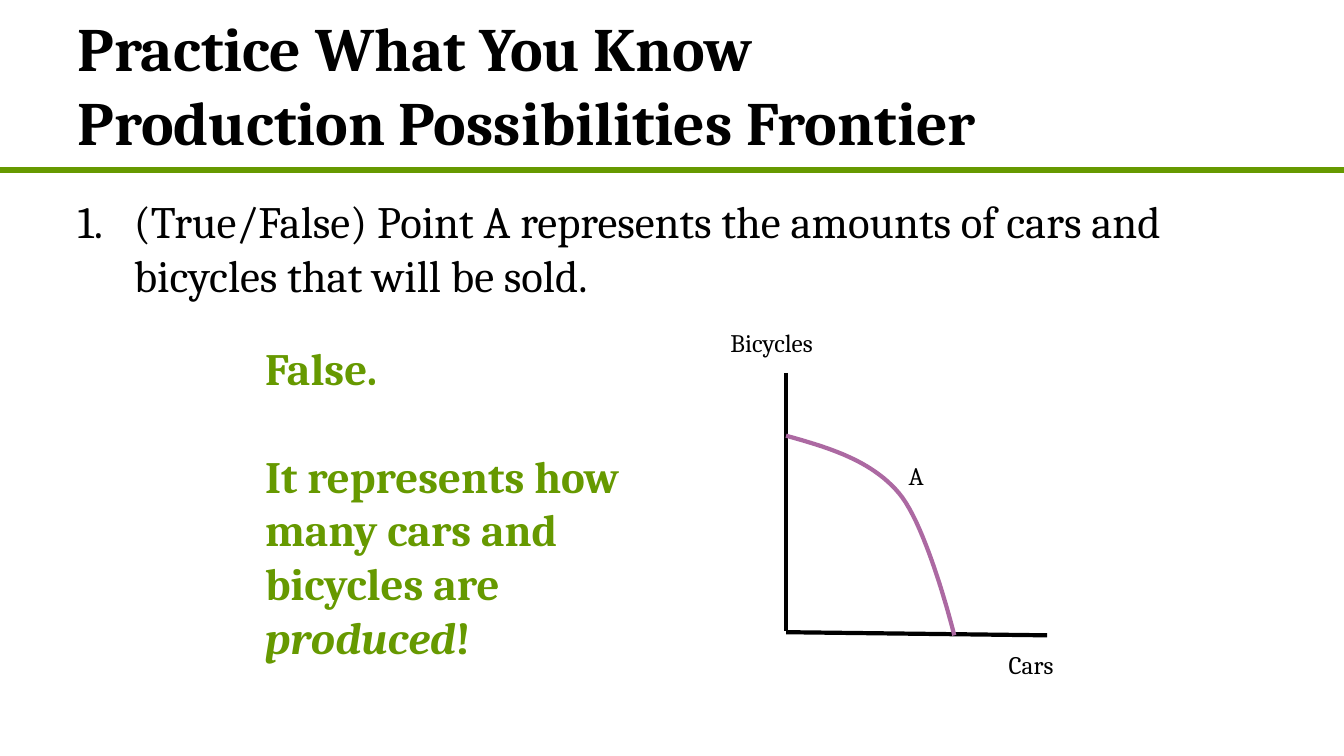
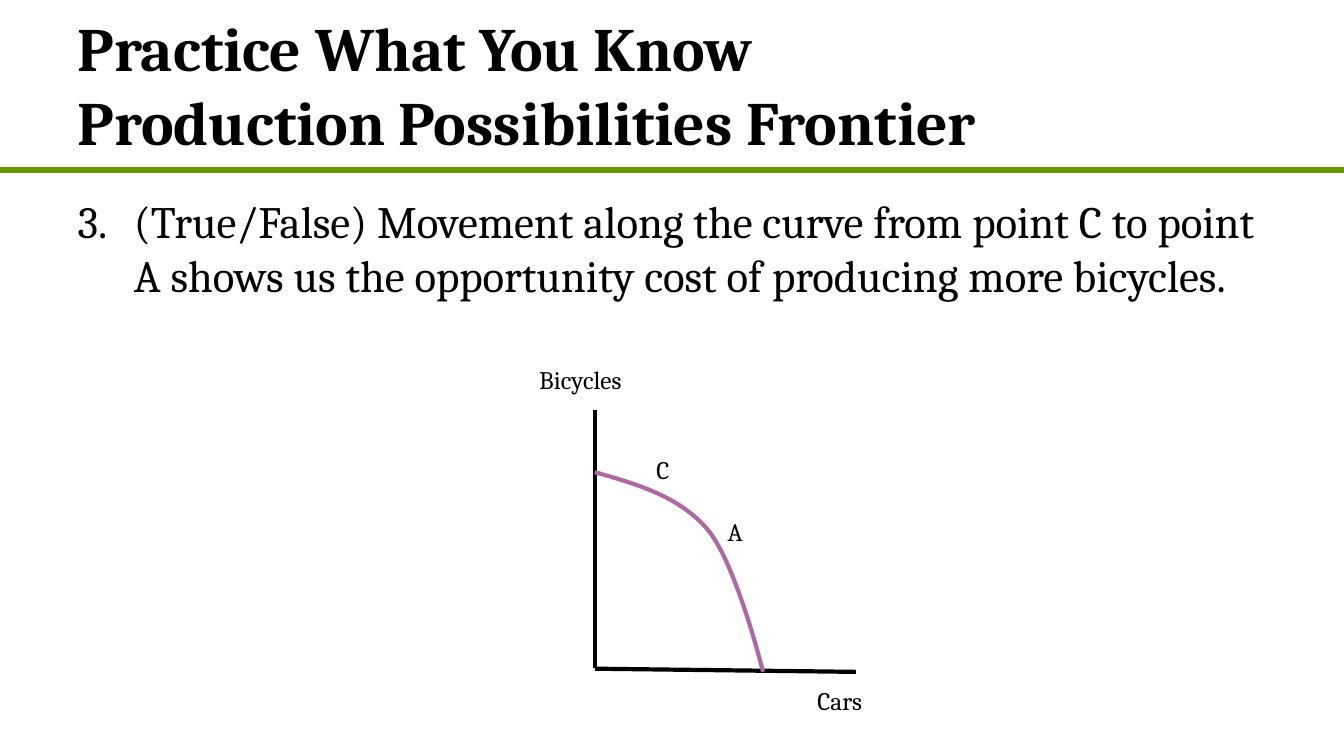
"""Build two practice slides on the production possibilities frontier."""
from lxml import etree
from pptx import Presentation, util as u
from pptx.dml.color import RGBColor
from pptx.enum import shapes, text
from pptx.oxml.ns import qn

FONT = "Cambria"
BLACK, GREEN, PURPLE = "000000", "669900", "AC69A2"
WIDTH, HEIGHT = 33.87, 19.05
MARGIN, TITLE_HEIGHT, RULE_TOP = 1.7, 4.24, 4.29
BODY_TOP, BODY_HEIGHT, INDENT = 4.75, 13.59, 1.42
LABEL_HEIGHT = 1.02

TITLE = ["Practice What You Know", "Production Possibilities Frontier"]
AXES = [((0, -6.53), (0, -0.03)), ((6.58, 0.08), (0, 0))]
AXIS_LABELS = [("Bicycles", -1.65, -7.8, 3.56), ("Cars", 5.36, 0.3, 2.08)]
CURVES = [
    [(0, -4.95), (1.07, -4.65), (2.13, -4.34), (2.84, -3.51)],
    [(2.84, -3.51), (3.56, -2.67), (4.24, 0.08), (4.24, 0.08)],
]
CURVE_STEPS = 24

SLIDES = [
    {
        "number": 1,
        "question": "(True/False) Point A represents the amounts of cars and "
                    "bicycles that will be sold.",
        "origin": (19.81, 15.93),
        "points": [("A", 2.84, -4.45, 1.27)],
        "answer": [
            [("False.", False)],
            [("It represents how many cars and bicycles are ", False),
             ("produced", True), ("!", False)],
        ],
    },
    {
        "number": 3,
        "question": "(True/False) Movement along the curve from point C to point A "
                    "shows us the opportunity cost of producing more bicycles.",
        "origin": (14.99, 16.85),
        "points": [("A", 3.1, -3.97, 1.27), ("C", 1.3, -5.52, 1.3)],
        "answer": [],
    },
]


def color(value):
    return RGBColor.from_string(value)


def place(shape, left, top, width, height):
    shape.left, shape.top = u.Cm(left), u.Cm(top)
    shape.width, shape.height = u.Cm(width), u.Cm(height)


def style(para, size, ink=BLACK, bold=False):
    para.alignment = text.PP_ALIGN.LEFT
    font = para.font
    font.name, font.size, font.bold = FONT, u.Pt(size), bold
    font.color.rgb = color(ink)


def add_line(page, start, end, ink, weight):
    ends = [u.Cm(value) for value in (*start, *end)]
    line = page.shapes.add_connector(shapes.MSO_CONNECTOR.STRAIGHT, *ends)
    line.line.color.rgb = color(ink)
    line.line.width = u.Pt(weight)
    etree.SubElement(line.element.spPr, qn("a:effectLst"))
    return line


def add_box(page, left, top, width, height):
    box = page.shapes.add_textbox(*[u.Cm(v) for v in (left, top, width, height)])
    box.text_frame.word_wrap = True
    box.text_frame.auto_size = text.MSO_AUTO_SIZE.SHAPE_TO_FIT_TEXT
    return box


def bezier(controls, t):
    weights = ((1 - t) ** 3, 3 * t * (1 - t) ** 2, 3 * t ** 2 * (1 - t), t ** 3)
    return [sum(w * c for w, c in zip(weights, axis)) for axis in zip(*controls)]


def add_graph(page, origin, points):
    def shift(x, y):
        return origin[0] + x, origin[1] + y

    for start, end in AXES:
        add_line(page, shift(*start), shift(*end), BLACK, 3)

    for name, x, y, width in AXIS_LABELS + points:
        box = add_box(page, *shift(x, y), width, LABEL_HEIGHT)
        para = box.text_frame.paragraphs[0]
        para.text = name
        style(para, 18)

    steps = [bezier(curve, step / CURVE_STEPS)
             for curve in CURVES for step in range(1, CURVE_STEPS + 1)]
    outline = [tuple(u.Cm(v) for v in shift(*point)) for point in [CURVES[0][0], *steps]]
    builder = page.shapes.build_freeform(*outline[0])
    builder.add_line_segments(outline[1:], close=False)
    frontier = builder.convert_to_shape()
    frontier.fill.background()
    frontier.line.color.rgb = color(PURPLE)
    frontier.line.width = u.Pt(3)
    frontier.shadow.inherit = False


def add_heading(page):
    frame = page.shapes.title.text_frame
    frame.auto_size = text.MSO_AUTO_SIZE.NONE
    frame.vertical_anchor = text.MSO_ANCHOR.MIDDLE
    para = frame.paragraphs[0]
    for index, line in enumerate(TITLE):
        if index:
            para.add_line_break()
        para.add_run().text = line
    style(para, 44, bold=True)


def add_question(page, number, question):
    frame = page.placeholders[1].text_frame
    frame.auto_size = text.MSO_AUTO_SIZE.NONE
    para = frame.paragraphs[0]
    para.text = question
    props = para._p.get_or_add_pPr()
    props.set("marL", str(u.Cm(INDENT)))
    props.set("indent", str(-u.Cm(INDENT)))
    bullet = etree.SubElement(props, qn("a:buAutoNum"), type="arabicPeriod")
    if number > 1:
        bullet.set("startAt", str(number))
    style(para, 32)


def add_answer(page, answer):
    frame = add_box(page, 6.43, 8.46, 9.45, 8.46).text_frame
    for index, spans in enumerate(answer):
        para = frame.add_paragraph() if index else frame.paragraphs[0]
        if index:
            para.space_before = u.Cm(1.36)
        for words, italic in spans:
            span = para.add_run()
            span.text = words
            if italic:
                span.font.italic = True
        style(para, 32, GREEN, bold=True)


def set_layout(layout):
    title, body = layout.placeholders[0], layout.placeholders[1]
    place(title, MARGIN, 0, WIDTH - 2 * MARGIN, TITLE_HEIGHT)
    place(body, MARGIN, BODY_TOP, WIDTH - 2 * MARGIN, BODY_HEIGHT)


def move_to_layout(line, layout):
    next_id = max(shape.shape_id for shape in layout.shapes) + 1
    line.element.nvCxnSpPr.cNvPr.set("id", str(next_id))
    layout.shapes.element.append(line.element)


def main():
    deck = Presentation()
    deck.slide_width, deck.slide_height = u.Cm(WIDTH), u.Cm(HEIGHT)
    layout = deck.slide_layouts[1]
    set_layout(layout)
    for index, content in enumerate(SLIDES):
        page = deck.slides.add_slide(layout)
        if index == 0:
            rule = add_line(page, (0, RULE_TOP), (WIDTH, RULE_TOP), GREEN, 4.5)
            move_to_layout(rule, layout)
        add_heading(page)
        add_question(page, content["number"], content["question"])
        add_graph(page, content["origin"], content["points"])
        if content["answer"]:
            add_answer(page, content["answer"])
    deck.save("out.pptx")


if __name__ == "__main__":
    main()
